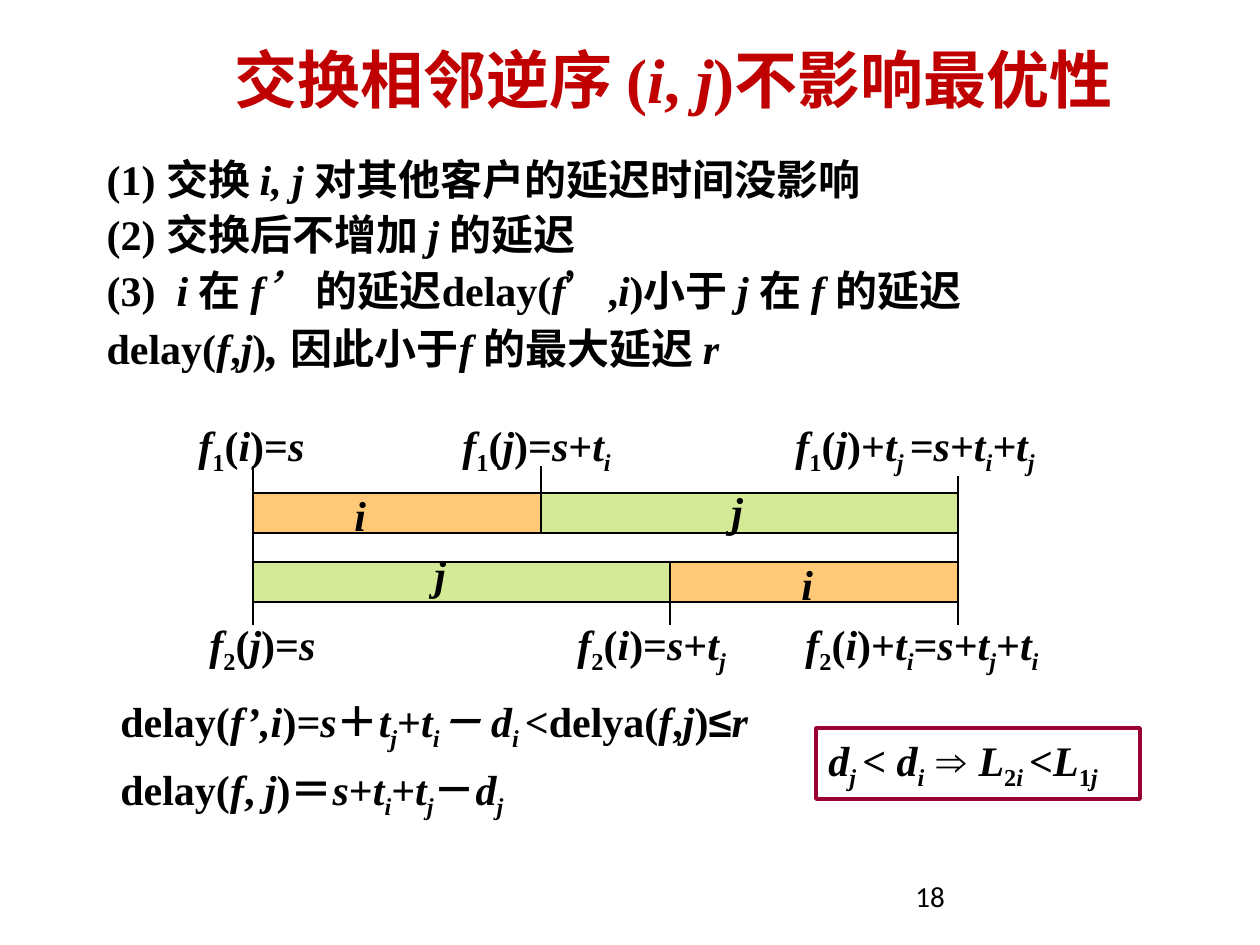
from lxml.etree import SubElement
from pptx import Presentation
from pptx.dml.color import RGBColor
from pptx.enum.shapes import MSO_CONNECTOR, MSO_SHAPE
from pptx.enum.text import MSO_ANCHOR, MSO_AUTO_SIZE, PP_ALIGN
from pptx.oxml.ns import qn
from pptx.util import Pt

PX = 914400 / 126  # EMU per px
BLACK = RGBColor(0x00, 0x00, 0x00)
RED = RGBColor(0xC0, 0x00, 0x00)
CRIMSON = RGBColor(0x99, 0x00, 0x33)
ORANGE = RGBColor(0xFF, 0x99, 0x00)
GREEN = RGBColor(0x99, 0xCC, 0x00)


def px(*values):
    return [round(v * PX) for v in values]


def write(sp, text, size=24, color=BLACK, bold=True, font="Times New Roman", alt="Arial",
          before=(0,), align=PP_ALIGN.LEFT, anchor=MSO_ANCHOR.TOP, wrap=True):
    """Fill a shape; * toggles italic, _ subscript, ^ the alternative font, ~ 28 pt."""
    tf = sp.text_frame
    tf.auto_size = MSO_AUTO_SIZE.NONE
    tf.word_wrap, tf.vertical_anchor = wrap, anchor
    for n, line in enumerate(text.split("\n")):
        p = tf.paragraphs[0] if n == 0 else tf.add_paragraph()
        p.alignment = align
        p.space_before = Pt(before[min(n, len(before) - 1)])
        on = dict.fromkeys("*_^~", False)
        chunk = ""
        for ch in line + "*":
            if ch not in on:
                chunk += ch
                continue
            if chunk:
                r = p.add_run()
                r.text = chunk
                r.font.size = Pt(28 if on["~"] else size)
                r.font.name = alt if on["^"] else font
                r.font.bold, r.font.italic = bold, on["*"]
                r.font.color.rgb = color
                if on["_"]:
                    r.font._element.set("baseline", "-25000")
            chunk = ""
            on[ch] = not on[ch]


prs = Presentation()
prs.slide_width, prs.slide_height = px(1260, 945)
s = prs.slides.add_slide(prs.slide_layouts[1])

# Title
title = s.shapes.title
title.left, title.top, title.width, title.height = px(102, 35, 1143, 87)
write(title, "^交换相邻^逆序 (*i*, *j*)^不影响最优性^", size=36, color=RED, alt="Calibri",
      align=PP_ALIGN.CENTER, anchor=MSO_ANCHOR.MIDDLE)

# Three claims
body = s.placeholders[1]
body.left, body.top, body.width, body.height = px(94, 147, 1052, 241)
write(body, "(1) 交换 *i, j *对其他客户的延迟时间没影响\n"
            "(2) 交换后不增加 *j *的延迟\n"
            "(3)  *i *在 *f’ *的延迟delay(*f*’,*i*)小于 *j *在 *f *的延迟 "
            "delay(*f*,*j*)~*, *~因此小于*f *的最大延迟 *r*", before=(12, 3))
for p in body.text_frame.paragraphs:
    pPr = p._p.get_or_add_pPr()
    pPr.set("marL", "0")
    pPr.set("indent", "0")
    SubElement(pPr, qn("a:buNone"))

# Schedule bars: left, top, width, colour, opacity in percent
for x, y, w, color, opacity in [(253, 493, 288, ORANGE, 53), (541, 493, 417, GREEN, 41),
                                (253, 562, 417, GREEN, 41), (670, 562, 288, ORANGE, 53)]:
    bar = s.shapes.add_shape(MSO_SHAPE.RECTANGLE, *px(x, y, w, 40))
    bar.shadow.inherit = False
    bar.fill.solid()
    bar.fill.fore_color.rgb = color
    clr = bar._element.spPr.find(qn("a:solidFill"))[0]
    SubElement(clr, qn("a:alpha")).set("val", str(opacity * 1000))
    bar.line.color.rgb = BLACK
    bar.line.width = Pt(1.5)

# Time marks
for x, y1, y2 in [(253, 466, 625), (541, 466, 496), (670, 596, 625), (958, 476, 625)]:
    mark = s.shapes.add_connector(MSO_CONNECTOR.STRAIGHT, *px(x, y1, x, y2))
    mark.line.color.rgb = BLACK
    mark.line.width = Pt(0.75)
    SubElement(mark._element.spPr, qn("a:effectLst"))

# Labels on the bars and at the time marks
for x, y, w, text in [
    (342, 483, 59, "*i*"), (719, 479, 59, "*j*"),
    (422, 542, 59, "*j*"), (789, 552, 59, "*i*"),
    (186, 413, 200, "*f*_1_(*i*)=*s*"),
    (450, 413, 240, "*f*_1_(*j*)=*s*+*t_i_*"),
    (783, 413, 320, "*f*_1_(*j*)+*t_j _=s+t_i_+t_j_*"),
    (197, 612, 200, "*f*_2_(*j*)=*s*"),
    (565, 612, 220, "*f*_2_(*i*)=*s*+*t_j_*"),
    (793, 612, 320, "*f*_2_(*i*)+*t_i_*=*s*+*t_j_*+*t_i_*"),
]:
    write(s.shapes.add_textbox(*px(x, y, w, 71)), text, before=(15,))

# Delay formulas
sp = s.shapes.add_textbox(*px(108, 689, 973, 139))
write(sp, "delay(*f’,i*)*=s*＋*t_j_*+*t_i_－ d_i _*<delya(*f*,*j*)^≤^*r*\n"
          "delay(*f*, *j*)＝*s*+*t_i_*+*t_j_*－*d_j_*", before=(6,))

# Conclusion
sp = s.shapes.add_shape(MSO_SHAPE.RECTANGLE, *px(816, 728, 324, 71))
sp.shadow.inherit = False
sp.fill.background()
sp.line.color.rgb = CRIMSON
sp.line.width = Pt(2)
write(sp, "*d_j _*< *d_i  _*^⇒ ^*L*_2*i *_<*L*_1*j*_", before=(6,), wrap=False)

# Page number
sp = s.shapes.add_textbox(*px(903, 876, 294, 50))
write(sp, "18", size=16.6, bold=False, font="Calibri")
sp.text_frame.paragraphs[0].line_spacing = 0.9

prs.save("out.pptx")
